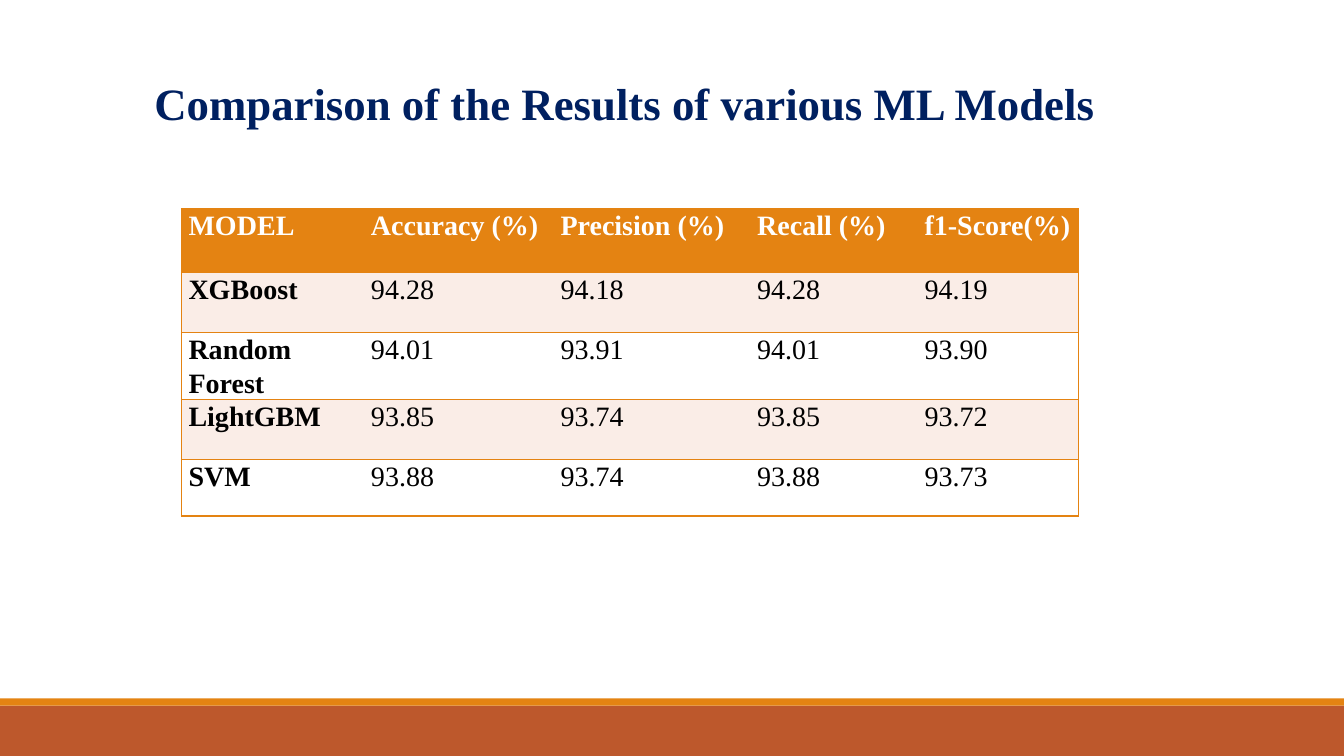
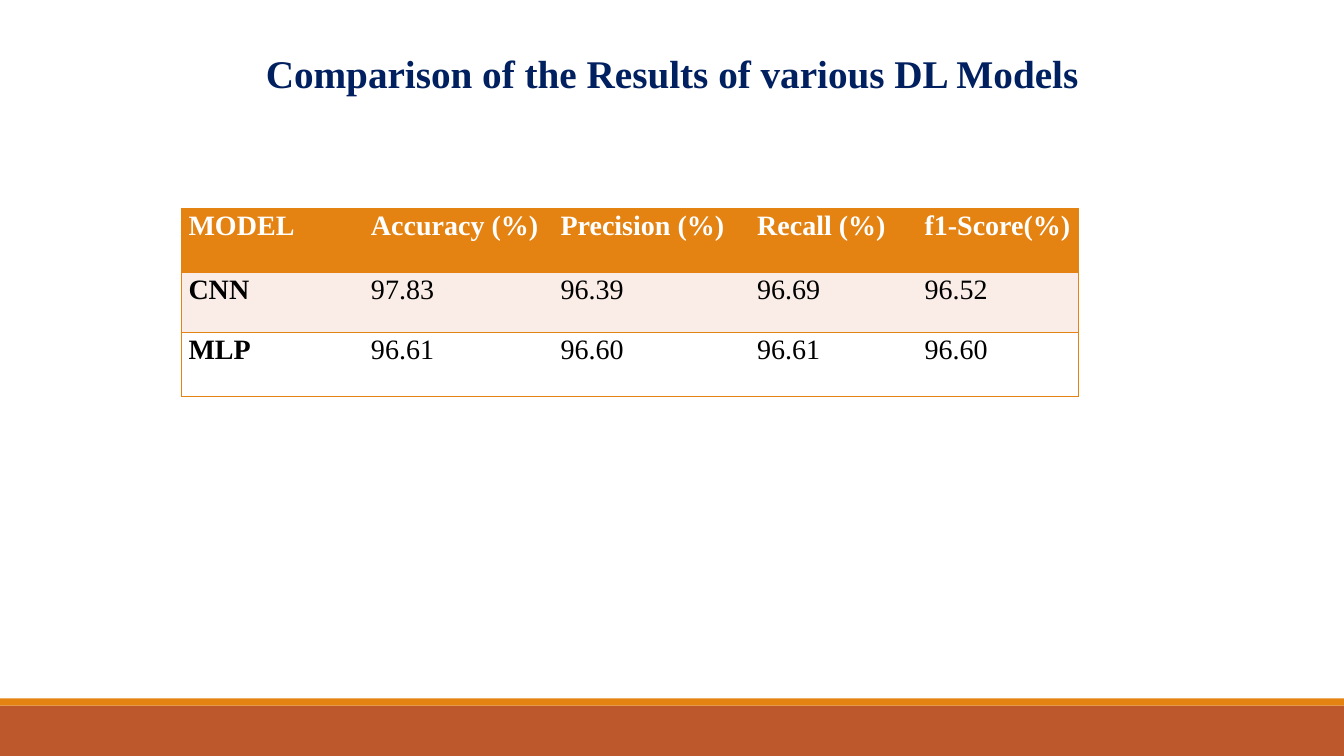
from lxml.etree import SubElement
from pptx import Presentation
from pptx.dml.color import RGBColor
from pptx.enum.shapes import MSO_SHAPE
from pptx.enum.text import MSO_ANCHOR, MSO_AUTO_SIZE, PP_ALIGN
from pptx.oxml.ns import qn
from pptx.util import Pt

PX = 9144
SLIDE_SIZE = (1333, 750)

FONT = "Times New Roman"
NAVY = RGBColor(0x00, 0x20, 0x60)
ORANGE = RGBColor(0xE4, 0x83, 0x12)
RUST = RGBColor(0xBD, 0x58, 0x2C)
BLUSH = RGBColor(0xFA, 0xED, 0xE7)
WHITE = RGBColor(0xFF, 0xFF, 0xFF)
BLACK = RGBColor(0x00, 0x00, 0x00)

BANDS = [(700, 50, RUST), (693, 7, ORANGE)]
TABLE_ORIGIN = (180, 207)
COLUMN_WIDTHS = [181, 188, 195, 166, 160]
CELL_MARGIN = 7
PLAIN_TABLE_STYLE = "{2D5ABB26-0587-4C30-8999-92F81FD0307C}"
HEADER = ["MODEL", "Accuracy (%)", "Precision (%)", "Recall (%)", "f1-Score(%)"]

SLIDES = [
    {
        "title": "Comparison of the Results of various ML Models",
        "title_box": (143, 70, 1083, 64),
        "title_size": 32,
        "title_alignment": PP_ALIGN.LEFT,
        "row_heights": [63, 60, 63, 60, 56],
        "results": [
            ["XGBoost", "94.28", "94.18", "94.28", "94.19"],
            ["Random Forest", "94.01", "93.91", "94.01", "93.90"],
            ["LightGBM", "93.85", "93.74", "93.85", "93.72"],
            ["SVM", "93.88", "93.74", "93.88", "93.73"],
        ],
    },
    {
        "title": "Comparison of the Results of various DL Models",
        "title_box": (247, 44, 839, 57),
        "title_size": 28,
        "title_alignment": PP_ALIGN.CENTER,
        "row_heights": [63, 60, 63],
        "results": [
            ["CNN", "97.83", "96.39", "96.69", "96.52"],
            ["MLP", "96.61", "96.60", "96.61", "96.60"],
        ],
    },
]


def scaled(lengths):
    return [length * PX for length in lengths]


def style_font(paragraph, size, color, bold):
    font = paragraph.font
    font.name = FONT
    font.size = Pt(size)
    font.bold = bold
    font.color.rgb = color


def add_master_bands(slide, master):
    for index, (top, height, color) in enumerate(BANDS):
        box = scaled((0, top, SLIDE_SIZE[0], height))
        band = slide.shapes.add_shape(MSO_SHAPE.RECTANGLE, *box)
        band.shadow.inherit = False
        band.fill.solid()
        band.fill.fore_color.rgb = color
        band.line.fill.background()
        band.element.nvSpPr.cNvPr.id = 101 + index
        master.shapes.element.insert(2 + index, band.element)


def set_title(slide, content):
    title = slide.shapes.title
    title.left, title.top, title.width, title.height = scaled(content["title_box"])
    frame = title.text_frame
    frame.text = content["title"]
    frame.word_wrap = True
    frame.auto_size = MSO_AUTO_SIZE.NONE
    frame.vertical_anchor = MSO_ANCHOR.TOP
    paragraph = frame.paragraphs[0]
    paragraph.alignment = content["title_alignment"]
    style_font(paragraph, content["title_size"], NAVY, True)


def add_borders(cell, sides):
    properties = cell._tc.get_or_add_tcPr()
    for side in sides:
        line = SubElement(properties, qn(f"a:ln{side}"), w=str(Pt(1)))
        fill = SubElement(line, qn("a:solidFill"))
        SubElement(fill, qn("a:srgbClr"), val=str(ORANGE))


def format_cell(cell, text, row, column):
    left_side = "L" if column == 0 else ""
    right_side = "R" if column == len(HEADER) - 1 else ""
    add_borders(cell, left_side + right_side + "TB")
    cell.fill.solid()
    if row == 0:
        cell.fill.fore_color.rgb = ORANGE
    else:
        cell.fill.fore_color.rgb = BLUSH if row % 2 else WHITE
    cell.margin_left = cell.margin_right = CELL_MARGIN * PX
    cell.margin_top = cell.margin_bottom = 0
    cell.text = text
    paragraph = cell.text_frame.paragraphs[0]
    paragraph.line_spacing = 1.07
    style_font(paragraph, 20, BLACK if row else WHITE, row == 0 or column == 0)


def add_results_table(slide, content):
    rows = [HEADER] + content["results"]
    heights = content["row_heights"]
    box = scaled((*TABLE_ORIGIN, sum(COLUMN_WIDTHS), sum(heights)))
    frame = slide.shapes.add_table(len(rows), len(HEADER), *box)
    frame.element.xpath(".//a:tableStyleId")[0].text = PLAIN_TABLE_STYLE
    table = frame.table
    for column, width in zip(table.columns, scaled(COLUMN_WIDTHS)):
        column.width = width
    for row, height in zip(table.rows, scaled(heights)):
        row.height = height
    for row_index, row in enumerate(rows):
        for column_index, text in enumerate(row):
            cell = table.cell(row_index, column_index)
            format_cell(cell, text, row_index, column_index)


def main():
    presentation = Presentation()
    presentation.slide_width, presentation.slide_height = scaled(SLIDE_SIZE)
    title_only = presentation.slide_layouts[5]
    for content in SLIDES:
        slide = presentation.slides.add_slide(title_only)
        set_title(slide, content)
        add_results_table(slide, content)
    add_master_bands(presentation.slides[0], presentation.slide_master)
    presentation.save("out.pptx")


if __name__ == "__main__":
    main()
